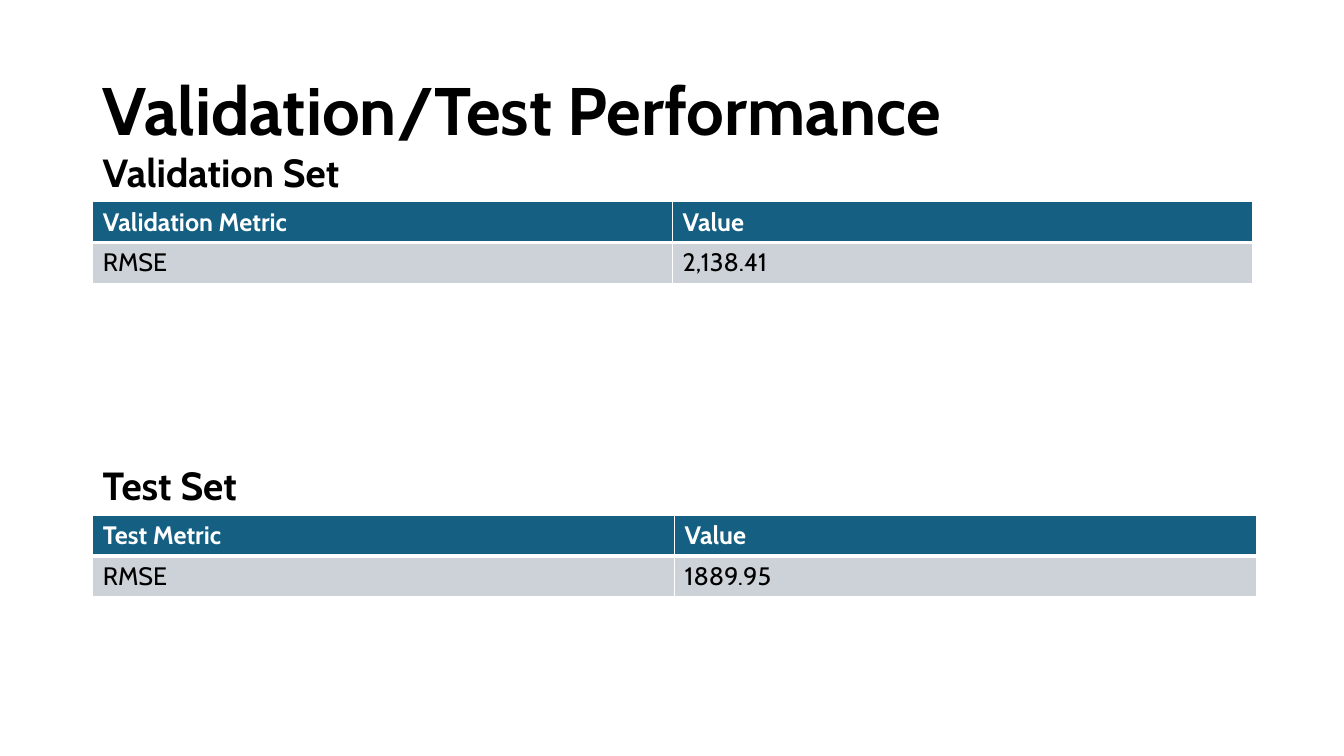
from lxml import etree
from pptx import Presentation
from pptx.dml.color import RGBColor
from pptx.enum.text import MSO_ANCHOR, PP_ALIGN
from pptx.oxml.ns import qn
from pptx.util import Inches, Pt

MIDDLE = MSO_ANCHOR.MIDDLE
LEFT = PP_ALIGN.LEFT
FONT = "Cabin"
COLORS = {"text": "000000", "white": "FFFFFF", "header": "156082", "body": "CCD2D8"}
TITLE_ONLY = 5
ROW_HEIGHT = 0.405
HEADING_HEIGHT = 0.57


def style_text(frame, size, color, bold):
    paragraph = frame.paragraphs[0]
    paragraph.alignment = LEFT
    for run in paragraph.runs:
        run.font.name = FONT
        run.font.size = Pt(size)
        run.font.bold = bold
        run.font.color.rgb = RGBColor.from_string(COLORS[color])


def add_title(slide, text, left, top, width, height):
    title = slide.shapes.title
    title.left, title.top = Inches(left), Inches(top)
    title.width, title.height = Inches(width), Inches(height)
    title.text_frame.text = text
    title.text_frame.word_wrap = True
    title.text_frame.vertical_anchor = MIDDLE
    title.text_frame.paragraphs[0].line_spacing = 0.9
    style_text(title.text_frame, 48, "text", True)


def add_heading(slide, text, left, top, width):
    heading = slide.shapes.add_textbox(
        Inches(left), Inches(top), Inches(width), Inches(HEADING_HEIGHT))
    heading.text_frame.word_wrap = True
    heading.text_frame.text = text
    style_text(heading.text_frame, 28, "text", True)


def set_borders(cell, widths):
    """Draw white cell borders, with a width in points for each side."""
    properties = cell._tc.get_or_add_tcPr()
    for side, width in widths.items():
        line = etree.SubElement(properties, qn(f"a:ln{side}"), w=str(Pt(width)))
        fill = etree.SubElement(line, qn("a:solidFill"))
        etree.SubElement(fill, qn("a:srgbClr"), val=COLORS["white"])


def add_metric_table(slide, rows, left, top, width):
    table = slide.shapes.add_table(
        len(rows), len(rows[0]), Inches(left), Inches(top),
        Inches(width), Inches(ROW_HEIGHT * len(rows))).table
    for row_index, row in enumerate(rows):
        is_header = row_index == 0
        # The line between the header and the value row is thicker
        top_line, bottom_line = (1, 3) if is_header else (3, 1)
        for column_index, text in enumerate(row):
            cell = table.cell(row_index, column_index)
            cell.text_frame.text = text
            set_borders(cell, {"L": 1, "R": 1, "T": top_line, "B": bottom_line})
            cell.fill.solid()
            cell.fill.fore_color.rgb = RGBColor.from_string(
                COLORS["header" if is_header else "body"])
            style_text(cell.text_frame, 18, "white" if is_header else "text", is_header)


def add_result_section(slide, name, value, left, top, width):
    """Place a data set heading with its metric table below."""
    add_heading(slide, f"{name} Set", left, top, 3.05)
    rows = [(f"{name} Metric", "Value"), ("RMSE", value)]
    add_metric_table(slide, rows, left, top + HEADING_HEIGHT + 0.01, width)


def main():
    presentation = Presentation()
    presentation.slide_width = Inches(13.33)
    presentation.slide_height = Inches(7.5)
    slide = presentation.slides.add_slide(presentation.slide_layouts[TITLE_ONLY])

    # Title
    add_title(slide, "Validation/Test Performance", 0.92, 0.4, 11.5, 1.45)

    # Results for each data set
    add_result_section(slide, "Validation", "2,138.41", 0.92, 1.42, 11.5)
    add_result_section(slide, "Test", "1889.95", 0.92, 4.53, 11.54)

    presentation.save("out.pptx")


if __name__ == "__main__":
    main()
